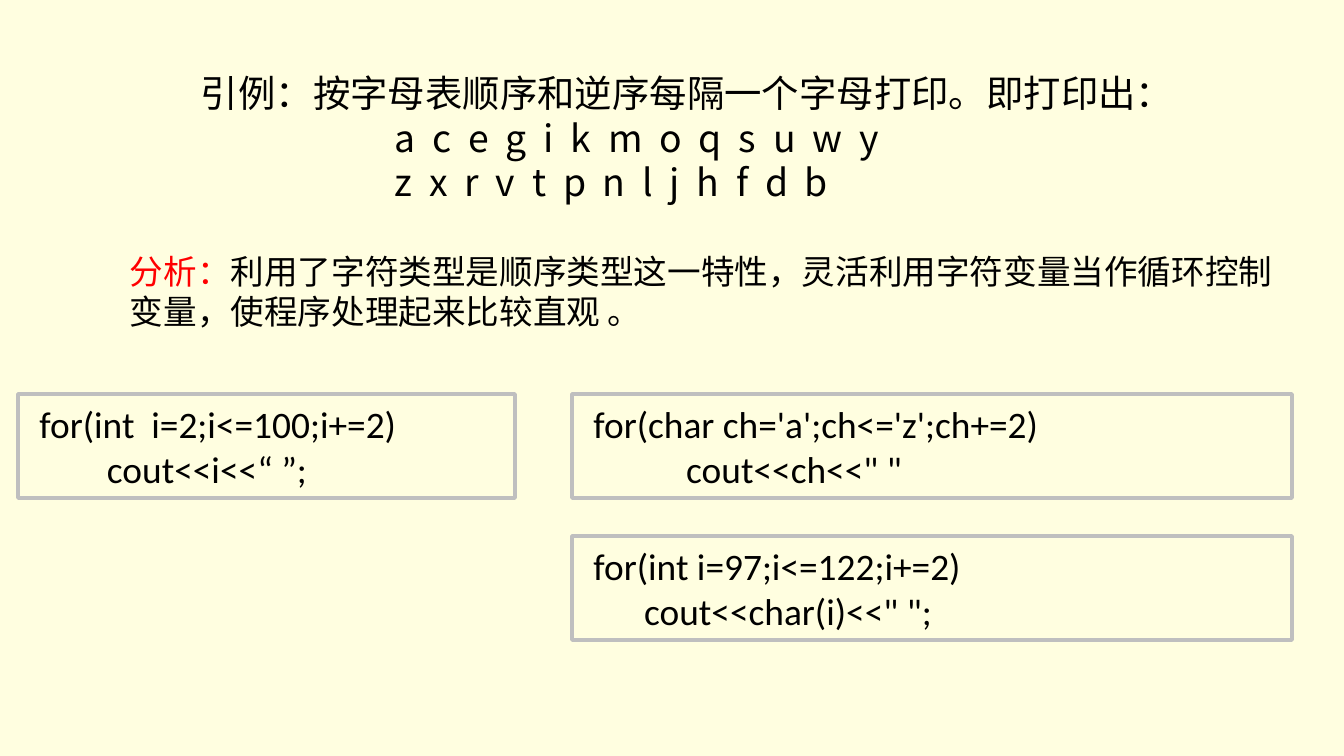
from pptx import Presentation
from pptx import util as u
from pptx.dml.color import RGBColor
from pptx.enum import shapes, text
from pptx.oxml.ns import qn
from lxml import etree

EMU_PER_PX = 914400 / 134.4
CJK, LATIN = "Noto Sans CJK SC", "Calibri"
BLACK, RED, GREY, CREAM = "000000", "FF0000", "BFBFBF", "FFFEE0"

# Content
EXAMPLE = "引例：按字母表顺序和逆序每隔一个字母打印。即打印出："
LETTER_ROWS = ["acegikmoqsuwy", "zxrvtpnljhfdb"]
ANALYSIS = [("分析：", RED),
            ("利用了字符类型是顺序类型这一特性，灵活利用字符变量当作循环控制变量，"
             "使程序处理起来比较直观 。", BLACK)]
CODE_BOXES = [  # column, row, lines
    (0, 0, [" for(int  i=2;i<=100;i+=2)", "         cout<<i<<“ ”;"]),
    (1, 0, [" for(char ch='a';ch<='z';ch+=2)", '            cout<<ch<<" "']),
    (1, 1, [" for(int i=97;i<=122;i+=2)", '       cout<<char(i)<<" ";']),
]
COLUMNS = [(18, 497), (572, 720)]  # left, width
CODE_TOP, CODE_HEIGHT, ROW_STEP = 394, 104, 142


def px(n):
    return u.Emu(round(n * EMU_PER_PX))


def rgb(value):
    return RGBColor.from_string(value)


def setup_frame(sp, inset_top=7):
    tf = sp.text_frame
    tf.word_wrap = True
    tf.vertical_anchor = text.MSO_ANCHOR.TOP
    tf.margin_left = tf.margin_right = px(13)
    tf.margin_top, tf.margin_bottom = px(inset_top), px(7)
    return tf


def add_text(tf, runs, size=20, font=LATIN, first=False, indent=0, spacing=None):
    """Write one paragraph of (text, colour) runs."""
    p = tf.paragraphs[0] if first else tf.add_paragraph()
    p.alignment = text.PP_ALIGN.LEFT
    if spacing:
        p.line_spacing = u.Pt(spacing)
    if indent:
        p._p.get_or_add_pPr().set("indent", str(px(indent)))
    for words, colour in runs:
        r = p.add_run()
        r.text = words
        r.font.size, r.font.name = u.Pt(size), font
        r.font.color.rgb = rgb(colour)
        etree.SubElement(r._r.get_or_add_rPr(), qn("a:ea")).set("typeface", font)


prs = Presentation()
prs.slide_width, prs.slide_height = px(1344), px(756)
s = prs.slides.add_slide(prs.slide_layouts[6])
s.background.fill.solid()
s.background.fill.fore_color.rgb = rgb(CREAM)

# Example with its two rows of letters
tf = setup_frame(s.shapes.add_textbox(px(144), px(59), px(1121), px(149)), 11)
add_text(tf, [(EXAMPLE, BLACK)], font=CJK, first=True, indent=44, spacing=24)
for letters in LETTER_ROWS:
    add_text(tf, [("  ".join(letters), BLACK)], font=CJK, indent=238, spacing=24)

# Analysis
tf = setup_frame(s.shapes.add_textbox(px(117), px(241), px(1175), px(136)), 10)
add_text(tf, ANALYSIS, size=18, font=CJK, first=True, spacing=21.5)

# Code boxes
for column, row, lines in CODE_BOXES:
    left, width = COLUMNS[column]
    sp = s.shapes.add_shape(shapes.MSO_SHAPE.RECTANGLE, px(left),
                            px(CODE_TOP + row * ROW_STEP), px(width), px(CODE_HEIGHT))
    sp.shadow.inherit = False
    sp.fill.background()
    sp.line.color.rgb, sp.line.width = rgb(GREY), u.Pt(2)
    tf = setup_frame(sp)
    for i, line in enumerate(lines):
        add_text(tf, [(line, BLACK)], first=i == 0)

prs.save("out.pptx")
